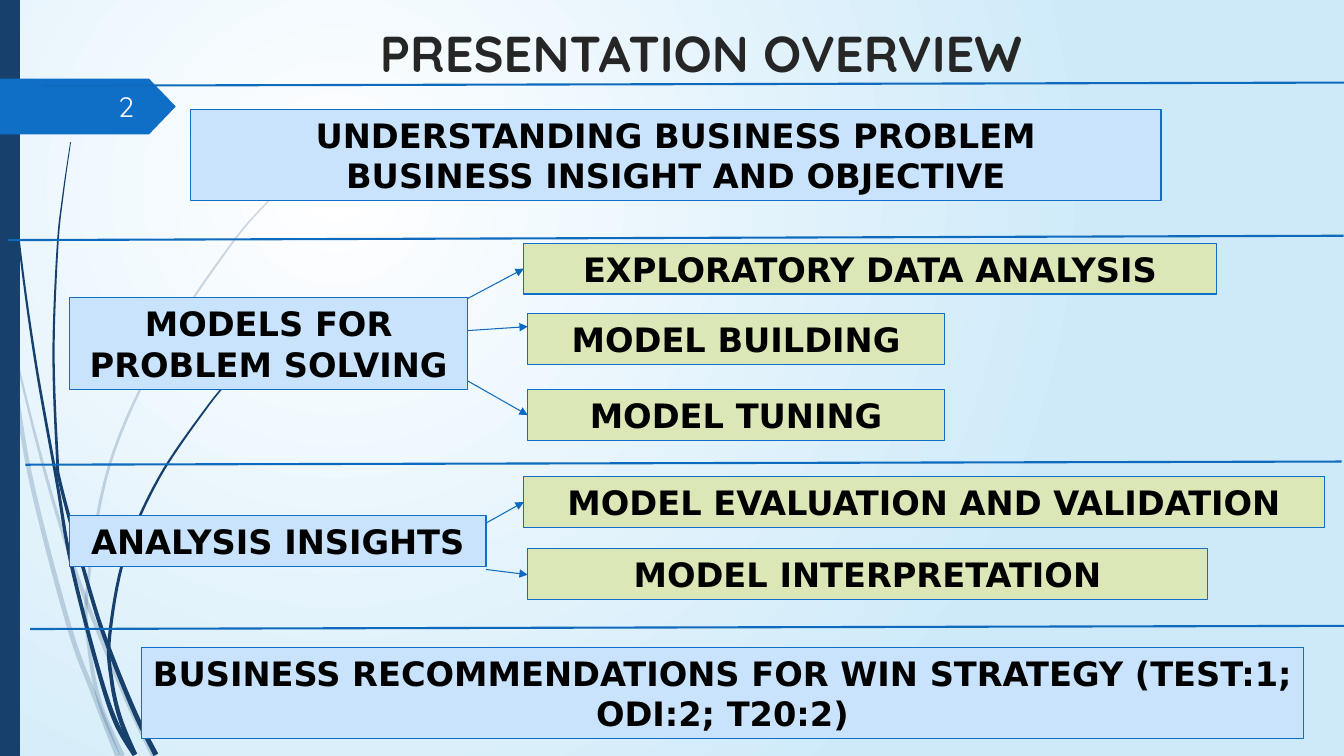
from math import hypot

from lxml import etree
from pptx import Presentation
from pptx.dml.color import RGBColor
from pptx.enum.shapes import MSO_CONNECTOR, MSO_SHAPE
from pptx.enum.text import MSO_ANCHOR, PP_ALIGN
from pptx.oxml.ns import qn
from pptx.util import Cm, Pt

# Content: all lengths in centimetres
COLORS = {"navy": "17406D", "blue": "0F6FC6", "rule": "0E6ABD", "sky": "C8E3FB",
          "green": "DBE7B6", "black": "000000", "title": "262626",
          "number": "FEFFFF", "white": "FFFFFF", "backdrop": "CEEAF9"}
SLIDE_WIDTH, SLIDE_HEIGHT = 33.87, 19.05
ONE_LINE, TWO_LINES = 1.28, 2.31  # box heights

TITLE = "PRESENTATION OVERVIEW"
PAGE_NUMBER = "2"

# Standalone boxes: lines, left, top, width
BANNERS = [
    (["UNDERSTANDING BUSINESS PROBLEM", "BUSINESS INSIGHT AND OBJECTIVE"], 4.8, 2.75, 24.46),
    (["BUSINESS RECOMMENDATIONS FOR WIN STRATEGY (TEST:1; ODI:2; T20:2)"], 3.56, 16.31, 29.29),
]

# Topics with branches: text, left, top, width, arrow start y, arrow end y
TOPICS = [
    {"text": "MODELS FOR PROBLEM SOLVING", "place": (1.75, 7.5, 10.04, TWO_LINES),
     "branches": [("EXPLORATORY DATA ANALYSIS", 13.2, 6.13, 17.45, 7.52, 6.77),
                  ("MODEL BUILDING", 13.3, 7.9, 10.5, 8.33, 8.23),
                  ("MODEL TUNING", 13.3, 9.82, 10.5, 9.6, 10.46)]},
    {"text": "ANALYSIS INSIGHTS", "place": (1.75, 13.0, 10.5, ONE_LINE),
     "branches": [("MODEL EVALUATION AND VALIDATION", 13.2, 12.01, 20.17, 13.18, 12.65),
                  ("MODEL INTERPRETATION", 13.3, 13.82, 17.12, 14.35, 14.48)]},
]

# Section rules: start x, start y, end x, end y
RULES = [(1.07, 2.16, 34.26, 2.08), (0.2, 6.05, 33.86, 5.94),
         (0.64, 11.71, 33.81, 11.63), (0.76, 15.85, 33.96, 15.77)]

# Curved stems: opacity, start width, end width, centre line
STEMS = [
    (20, 0.1, 0.13, [(0, 7.37), (0.25, 8.74), (0.75, 11.94), (1.73, 15.75),
                     (2.36, 17.48), (2.97, 19.05)]),
    (20, 0.05, 0.13, [(0.38, 8.9), (0.92, 11.1), (1.52, 13.23), (2.18, 15.16),
                      (3.18, 17.6), (3.87, 19.05)]),
    (20, 0.02, 0.12, [(7.92, 3.89), (6.81, 5.02), (5.79, 6.21), (4.04, 8.85), (2.76, 11.72),
                      (2.2, 14.86), (2.26, 16.41), (2.54, 17.78), (3.09, 19.05)]),
    (100, 0.02, 0.13, [(0.09, 0), (0.18, 2.79), (0.46, 5.92), (0.88, 9.02), (1.43, 12.12),
                       (1.78, 14.14), (2.43, 16.71), (2.9, 18.16), (3.4, 19.02)]),
    (100, 0.02, 0.13, [(1.78, 3.58), (1.59, 4.9), (1.45, 6.22), (1.35, 8.86), (1.44, 11.43),
                       (1.55, 12.3), (2.3, 15.01), (2.74, 16.33), (3.4, 17.96), (3.93, 19.02)]),
    (100, 0.02, 0.12, [(6.6, 8.74), (5.87, 9.49), (5.19, 10.3), (3.99, 12.07), (3.14, 14.01),
                       (2.76, 16.05), (2.81, 17.12), (3.02, 18.08), (3.4, 19.02)]),
]

BOX_FONT = {"name": "DejaVu Sans", "size": Pt(24), "bold": True}
TITLE_FONT = {"name": "Quicksand", "size": Pt(36), "bold": True}
NUMBER_FONT = {"name": "Quicksand", "size": Pt(20), "bold": False}


def rgb(color):
    return RGBColor.from_string(COLORS[color])


def paint(shape, fill, line=None):
    shape.shadow.inherit = False
    shape.fill.solid()
    shape.fill.fore_color.rgb = rgb(fill)
    if line:
        shape.line.color.rgb = rgb(line)
        shape.line.width = Pt(0.75)
    else:
        shape.line.fill.background()


def write(shape, lines, font, color, alignment, anchor):
    frame = shape.text_frame
    frame.word_wrap = True
    frame.vertical_anchor = anchor
    for index, line in enumerate(lines):
        paragraph = frame.paragraphs[0] if index == 0 else frame.add_paragraph()
        paragraph.alignment = alignment
        run = paragraph.add_run()
        run.text = line
        for name, value in font.items():
            setattr(run.font, name, value)
        run.font.color.rgb = rgb(color)


def add_block(slide, preset, place, fill, line=None):
    shape = slide.shapes.add_shape(preset, *map(Cm, place))
    paint(shape, fill, line)
    return shape


def add_box(slide, lines, place, fill):
    shape = add_block(slide, MSO_SHAPE.RECTANGLE, place, fill, "blue")
    write(shape, lines, BOX_FONT, "black", PP_ALIGN.CENTER, MSO_ANCHOR.MIDDLE)


def add_label(slide, text, place, font, color, alignment, anchor):
    box = slide.shapes.add_textbox(*map(Cm, place))
    write(box, [text], font, color, alignment, anchor)


def add_line(slide, ends, width, arrow=False):
    connector = slide.shapes.add_connector(MSO_CONNECTOR.STRAIGHT, *map(Cm, ends))
    connector.line.color.rgb = rgb("rule")
    connector.line.width = Pt(width)
    if arrow:
        etree.SubElement(connector.line._get_or_add_ln(), qn("a:tailEnd"), type="triangle")
    etree.SubElement(connector._element.spPr, qn("a:effectLst"))


def smooth_curve(points, steps=8):
    """Catmull-Rom samples through the points."""
    padded = [points[0], *points, points[-1]]
    samples = []
    for a, b, c, d in zip(padded, padded[1:], padded[2:], padded[3:]):
        for step in range(steps):
            t = step / steps
            samples.append(tuple(
                (2 * q + (r - p) * t + (2 * p - 5 * q + 4 * r - s) * t ** 2
                 + (3 * q - p - 3 * r + s) * t ** 3) / 2
                for p, q, r, s in zip(a, b, c, d)))
    return samples + [points[-1]]


def add_stem(slide, opacity, start_width, end_width, points):
    curve = smooth_curve(points)
    last = len(curve) - 1
    left, right = [], []
    for index, (x, y) in enumerate(curve):
        before, after = curve[max(index - 1, 0)], curve[min(index + 1, last)]
        dx, dy = after[0] - before[0], after[1] - before[1]
        half = (start_width + (end_width - start_width) * index / last) / 2 / hypot(dx, dy)
        left.append((Cm(x - dy * half), Cm(y + dx * half)))
        right.append((Cm(x + dy * half), Cm(y - dx * half)))
    outline = left + right[::-1]
    builder = slide.shapes.build_freeform(*outline[0])
    builder.add_line_segments(outline[1:], close=True)
    shape = builder.convert_to_shape()
    paint(shape, "navy")
    if opacity < 100:
        color = shape._element.spPr.find(qn("a:solidFill"))[0]
        etree.SubElement(color, qn("a:alpha"), val=str(opacity * 1000))


def set_background(slide):
    fill = slide.background.fill
    fill.gradient()
    for stop, color, position in zip(fill.gradient_stops, ("white", "backdrop"), (0, 1)):
        stop.color.rgb = rgb(color)
        stop.position = position
    gradient = slide._element.cSld.find(".//" + qn("a:gradFill"))
    gradient.remove(gradient.find(qn("a:lin")))
    circle = etree.SubElement(gradient, qn("a:path"), path="circle")
    etree.SubElement(circle, qn("a:fillToRect"), l="50000", t="50000", r="100000", b="100000")


def main():
    presentation = Presentation()
    presentation.slide_width, presentation.slide_height = Cm(SLIDE_WIDTH), Cm(SLIDE_HEIGHT)
    slide = presentation.slides.add_slide(presentation.slide_layouts[6])

    # Backdrop, stems, side bar and number tag
    set_background(slide)
    for stem in STEMS:
        add_stem(slide, *stem)
    add_block(slide, MSO_SHAPE.RECTANGLE, (0, 0, 0.5, SLIDE_HEIGHT), "navy")
    tag = add_block(slide, MSO_SHAPE.PENTAGON, (0, 1.98, 4.43, 1.41), "blue")
    tag.adjustments[0] = 0.48

    # Title, page number and section rules
    add_label(slide, TITLE, (5.28, 0.43, 24.77, 2.11), TITLE_FONT, "title",
              PP_ALIGN.CENTER, MSO_ANCHOR.TOP)
    add_label(slide, PAGE_NUMBER, (1.47, 2.18, 2.16, 1.02), NUMBER_FONT, "number",
              PP_ALIGN.RIGHT, MSO_ANCHOR.MIDDLE)
    for rule in RULES:
        add_line(slide, rule, 1.5)

    # Boxes, with arrows from each topic to its branches
    for lines, left, top, width in BANNERS:
        add_box(slide, lines, (left, top, width, TWO_LINES), "sky")
    for topic in TOPICS:
        add_box(slide, [topic["text"]], topic["place"], "sky")
        topic_right = topic["place"][0] + topic["place"][2]
        for text, left, top, width, start_y, end_y in topic["branches"]:
            add_box(slide, [text], (left, top, width, ONE_LINE), "green")
            add_line(slide, (topic_right, start_y, left, end_y), 0.75, arrow=True)

    presentation.save("out.pptx")


if __name__ == "__main__":
    main()
